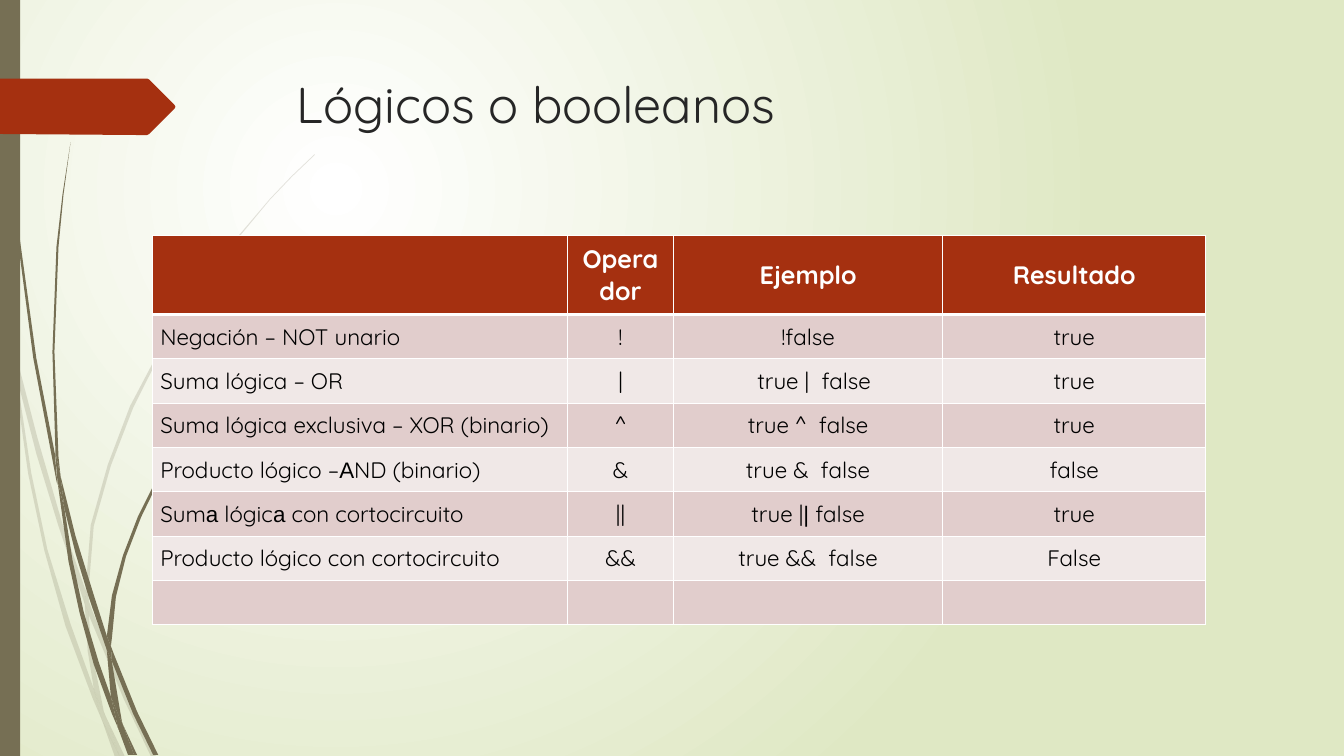
from pptx import Presentation
from pptx.dml.color import RGBColor
from pptx.enum.text import MSO_ANCHOR, PP_ALIGN
from pptx.enum.shapes import MSO_SHAPE
from pptx.oxml import parse_xml
from pptx.oxml.ns import nsdecls, qn
from pptx.util import Pt

PX = 9144  # one hundredth of an inch
FONT = "Quicksand"
OLIVE, RUST, WHITE = "766F54", "A53010", "FFFFFF"


def paint(fill, color):
    fill.solid()
    fill.fore_color.rgb = RGBColor.from_string(color)


def outline(shapes, coords, color):
    """Add a closed, borderless polygon from a string of x y pairs."""
    nums = [int(n) for n in coords.split()]
    points = list(zip(nums[::2], nums[1::2]))
    pen = shapes.build_freeform(*points[0], scale=PX)
    pen.add_line_segments(points[1:], close=True)
    shape = pen.convert_to_shape()
    shape.shadow.inherit = False
    paint(shape.fill, color)
    shape.line.fill.background()
    return shape


deck = Presentation()
deck.slide_width, deck.slide_height = 1333 * PX, 750 * PX
slide = deck.slides.add_slide(deck.slide_layouts[5])

# Background glow
glow = slide.background.fill
glow.gradient()
for stop, color in zip(glow.gradient_stops, [WHITE, "DFE8C4"]):
    stop.color.rgb = RGBColor.from_string(color)
grad = slide.element.find(".//" + qn("a:gradFill"))
grad.remove(grad.find(qn("a:lin")))
grad.append(parse_xml(
    f'<a:path {nsdecls("a")} path="circle">'
    '<a:fillToRect l="50000" t="50000" r="100000" b="100000"/></a:path>'))

# Grass stems: pale behind, dark in front
pale = [
    "11 350 9 322 0 282 0 299 10 344",
    "58 522 84 599 85 586 62 520 37 434 14 345 17 376 36 450",
    "92 607 88 596 88 610 123 694 150 751 155 751 127 692",
    "119 751 124 751 105 711",
    "93 683 70 619 47 545 31 469 17 376 11 350 28 470 44 546 65 621 92 693 101 714 99 707",
    "84 599 87 646 93 683 96 692 105 711 103 706 91 646 88 610 88 608",
    "88 584 93 522 110 462 132 405 160 349 192 296 229 245 268 198 290 175 312 154 "
    "312 153 289 175 268 197 228 244 190 294 158 348 129 403 107 461 90 521 85 584 "
    "85 586 88 596",
    "101 714 114 751 119 751",
    "88 608 88 610 88 596 85 586 84 599",
    "96 692 93 683 99 707 101 714 119 751 105 711",
]
dark = [
    "7 110 17 233 33 355 56 477 57 481 55 457 55 453 36 355 19 232 8 109 5 48 4 0 3 0 4 48",
    "88 592 106 645 106 631 93 590 75 532 60 472 64 505 75 549",
    "113 649 110 641 111 656 132 708 152 749 157 749 136 706",
    "110 691 98 657 83 607 72 556 64 505 57 477 68 557 79 608 93 659 111 708 117 722 116 717",
    "60 472 58 453 54 349 58 245 63 193 70 141 62 193 56 245 52 349 55 449",
    "133 749 136 749 122 719",
    "57 477 64 505 60 472 55 449 55 453",
    "111 633 115 592 125 552 140 513 158 476 180 440 205 406 231 374 245 359 261 344 "
    "260 344 245 358 231 373 204 405 178 439 156 474 137 512 122 551 111 591 106 631 110 641",
    "117 722 127 749 131 749",
    "106 645 110 691 116 706 122 719 121 716 111 656 109 651",
    "106 645 109 651 111 656 110 641 106 631",
    "116 706 110 691 116 717 117 722 130 749 133 749 122 719",
]
for stems, alpha in [(pale, 20), (dark, 100)]:
    clump = slide.shapes.add_group_shape()
    for coords in stems:
        stem = outline(clump.shapes, coords, OLIVE)
        if alpha < 100:
            tint = stem.element.spPr.find(qn("a:solidFill"))[0]
            tint.append(parse_xml(
                f'<a:alpha {nsdecls("a")} val="{alpha * 1000}"/>'))

# Side bar and arrow tab
bar = slide.shapes.add_shape(MSO_SHAPE.RECTANGLE, 0, 0, 20 * PX, 750 * PX)
bar.shadow.inherit = False
paint(bar.fill, OLIVE)
bar.line.fill.background()
outline(slide.shapes,
        "173 108 148 133 146 134 136 134 0 133 0 78 146 78 148 79 173 104 174 106", RUST)

# Title
title = slide.shapes.title
title.left, title.top = 284 * PX, 68 * PX
title.width, title.height = 975 * PX, 140 * PX
frame = title.text_frame
frame.text = "Lógicos o booleanos"
frame.word_wrap = True
frame.vertical_anchor = MSO_ANCHOR.TOP
head = frame.paragraphs[0]
head.alignment = PP_ALIGN.LEFT
head.font.name, head.font.size = FONT, Pt(36)
head.font.color.rgb = RGBColor.from_string("262626")

# Operator table; text between asterisks is set in Arial
rows = [
    ["", "Operador", "Ejemplo", "Resultado"],
    ["Negación – NOT unario", "!", "!false", "true"],
    ["Suma lógica – OR", "|", "  true |  false", "true"],
    ["Suma lógica exclusiva – XOR (binario)", "^", "true ^  false", "true"],
    ["Producto lógico –*A*ND (binario)", "&", "true &  false", "false"],
    ["Sum*a* lógic*a* con cortocircuito", "||", "true |*|* false", "true"],
    ["Producto lógico con cortocircuito", "&&", "true &&  false", "False"],
    [""] * 4,
]
widths = [412, 105, 267, 261]
heights = [78] + [44] * 7
table = slide.shapes.add_table(
    len(rows), len(widths), 151 * PX, 234 * PX,
    sum(widths) * PX, sum(heights) * PX).table
table.horz_banding = False
for col, width in zip(table.columns, widths):
    col.width = width * PX
for row, height in zip(table.rows, heights):
    row.height = height * PX

for r, texts in enumerate(rows):
    for c, text in enumerate(texts):
        cell = table.cell(r, c)
        props = cell._tc.get_or_add_tcPr()
        for side in "LRTB":
            thick = (r, side) in [(0, "B"), (1, "T")]
            props.append(parse_xml(
                f'<a:ln{side} {nsdecls("a")} w="{Pt(3 if thick else 1)}"><a:solidFill>'
                f'<a:srgbClr val="{WHITE}"/></a:solidFill></a:ln{side}>'))
        paint(cell.fill, RUST if r == 0 else ["F0E8E7", "E1CDCC"][r % 2])
        cell.margin_left = cell.margin_right = 8 * PX
        cell.vertical_anchor = MSO_ANCHOR.MIDDLE
        para = cell.text_frame.paragraphs[0]
        para.alignment = PP_ALIGN.CENTER if c else PP_ALIGN.LEFT
        para.font.name, para.font.size = FONT, Pt(16 if r else 18)
        para.font.bold = r == 0
        para.font.color.rgb = RGBColor.from_string("000000" if r else WHITE)
        for i, part in enumerate(text.split("*") if text else []):
            run = para.add_run()
            run.text = part
            if i % 2:
                run.font.name = "Arial"

deck.save("out.pptx")
